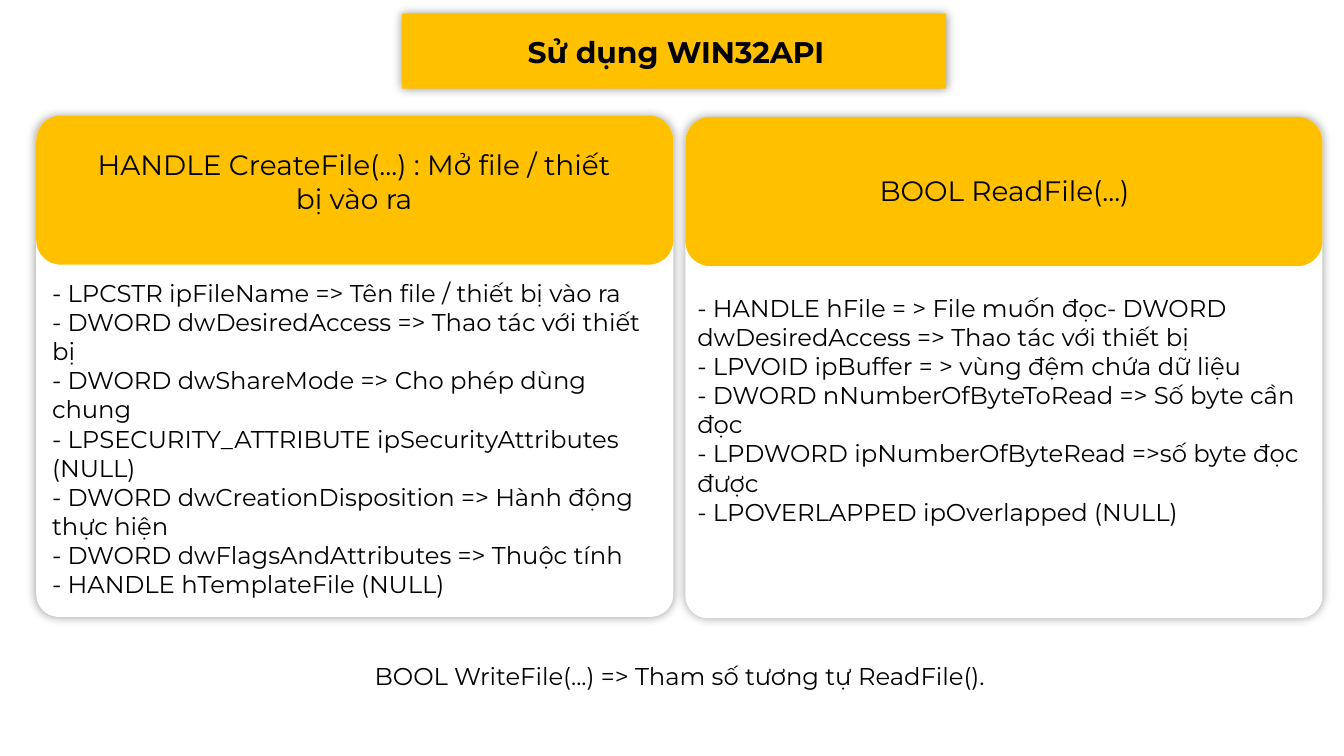
"""Build a slide comparing the CreateFile and ReadFile calls of WIN32API."""
from lxml import etree
from pptx import Presentation
from pptx import util as u
from pptx.dml.color import RGBColor
from pptx.enum import shapes, text
from pptx.oxml.ns import qn

COLORS = {"accent": "FFC000", "paper": "FFFFFF", "ink": "000000"}
FONT = "Montserrat"
CELL = u.Inches(0.1)
COLUMNS, ROWS = 100, 56.25
CARD_WIDTH, CARD_HEIGHT, HEADER_HEIGHT = 47.4, 37.2, 11.1
BODY_SIZE, HEADER_SIZE, TITLE_SIZE = 13, 15, 16
RECTANGLE = shapes.MSO_SHAPE.RECTANGLE
ROUNDED = shapes.MSO_SHAPE.ROUNDED_RECTANGLE

CARDS = [
    {
        "corner": (2.7, 8.6),
        "header": "HANDLE CreateFile(...) : Mở file / thiết bị vào ra",
        "header_box": (5.2, 10.5, 42.3, 8.4),
        "body": [
            "- LPCSTR ipFileName => Tên file / thiết bị vào ra",
            "- DWORD dwDesiredAccess => Thao tác với thiết bị",
            "- DWORD dwShareMode => Cho phép dùng chung",
            "- LPSECURITY_ATTRIBUTE ipSecurityAttributes (NULL)",
            "- DWORD dwCreationDisposition => Hành động thực hiện",
            "- DWORD dwFlagsAndAttributes => Thuộc tính",
            "- HANDLE hTemplateFile (NULL)",
        ],
        "body_box": (2.9, 20.2, 47.4, 27.4),
    },
    {
        "corner": (51, 8.7),
        "header": "BOOL ReadFile(...)",
        "header_box": (53.6, 12.4, 42.3, 3.5),
        "body": [
            "- HANDLE hFile = > File muốn đọc- DWORD dwDesiredAccess => Thao tác với thiết bị",
            "- LPVOID ipBuffer = > vùng đệm chứa dữ liệu",
            "- DWORD nNumberOfByteToRead => Số byte cần đọc",
            "- LPDWORD ipNumberOfByteRead =>số byte đọc được",
            "- LPOVERLAPPED ipOverlapped (NULL)",
        ],
        "body_box": (50.9, 21.3, 47.5, 18.5),
    },
]


def color(name):
    """Return a named colour."""
    return RGBColor.from_string(COLORS[name])


def cells(*counts):
    """Turn counts of grid cells into lengths."""
    return [u.Emu(round(count * CELL)) for count in counts]


def add_glow_shadow(shape):
    """Give a shape a soft, centred shadow."""
    effects = shape._element.spPr.find(qn("a:effectLst"))
    shadow = etree.SubElement(effects, qn("a:outerShdw"), blurRad=str(u.Pt(5)),
                              dist="0", dir="0", algn="ctr", rotWithShape="0")
    ink = etree.SubElement(shadow, qn("a:srgbClr"), val=COLORS["ink"])
    etree.SubElement(ink, qn("a:alpha"), val="40000")


def add_panel(slide, kind, box, fill, glow=False, rounding=None):
    """Add a filled shape without a line."""
    shape = slide.shapes.add_shape(kind, *cells(*box))
    shape.shadow.inherit = False
    shape.fill.solid()
    shape.fill.fore_color.rgb = color(fill)
    shape.line.fill.background()
    if rounding is not None:
        shape.adjustments[0] = rounding
    if glow:
        add_glow_shadow(shape)
    return shape


def write(shape, lines, size, align=text.PP_ALIGN.CENTER, bold=False):
    """Fill a shape with one paragraph per line."""
    frame = shape.text_frame
    frame.word_wrap = True
    frame.auto_size = text.MSO_AUTO_SIZE.NONE
    frame.vertical_anchor = text.MSO_ANCHOR.TOP
    for index, line in enumerate(lines):
        paragraph = frame.add_paragraph() if index else frame.paragraphs[0]
        paragraph.alignment = align
        run = paragraph.add_run()
        run.text = line
        run.font.name = FONT
        run.font.size = u.Pt(size)
        run.font.bold = bold
        run.font.color.rgb = color("ink")


def add_text(slide, box, lines, size, align=text.PP_ALIGN.CENTER):
    """Add a text box."""
    write(slide.shapes.add_textbox(*cells(*box)), lines, size, align)


def add_title(slide, words):
    """Add the banner and set the title in front of it."""
    add_panel(slide, RECTANGLE, (29.9, 1, 40.5, 5.6), "accent", glow=True)
    title = slide.shapes.title
    title.left, title.top, title.width, title.height = cells(34.4, 2, 31.8, 3.7)
    write(title, [words], TITLE_SIZE, bold=True)
    slide.shapes._spTree.append(title._element)


def add_footer(slide, words):
    """Add the closing remark on its strip."""
    add_panel(slide, ROUNDED, (2, 47.3, 96.6, 6.5), "paper")
    remark = add_panel(slide, RECTANGLE, (2.5, 48.7, 96.1, 3.2), "paper")
    write(remark, [words], BODY_SIZE)


def add_card(slide, corner, header, header_box, body, body_box):
    """Add a card with a coloured header and a list of parameters."""
    left, top = corner
    add_panel(slide, ROUNDED, (left, top + 0.1, CARD_WIDTH, CARD_HEIGHT),
              "paper", glow=True, rounding=0.045)
    add_panel(slide, ROUNDED, (left, top, CARD_WIDTH, HEADER_HEIGHT), "accent")
    add_text(slide, body_box, body, BODY_SIZE, text.PP_ALIGN.LEFT)
    add_text(slide, header_box, [header], HEADER_SIZE)


def main():
    """Build and save the presentation."""
    presentation = Presentation()
    presentation.slide_width, presentation.slide_height = cells(COLUMNS, ROWS)
    slide = presentation.slides.add_slide(presentation.slide_layouts[5])
    add_title(slide, "Sử dụng WIN32API")
    add_footer(slide, "BOOL WriteFile(...) => Tham số tương tự ReadFile().")
    for card in CARDS:
        add_card(slide, **card)
    presentation.save("out.pptx")


if __name__ == "__main__":
    main()
